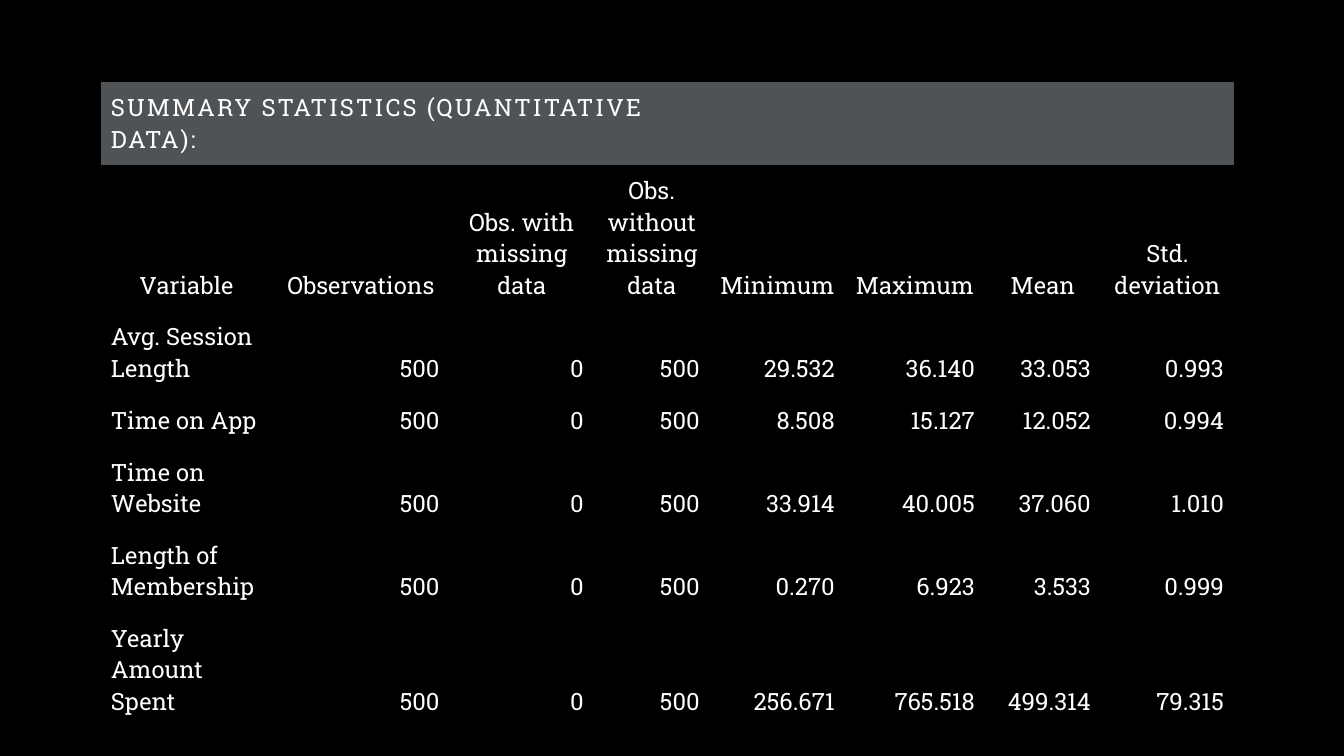
from lxml.etree import SubElement
from pptx import Presentation
from pptx.dml.color import RGBColor
from pptx.enum.text import MSO_ANCHOR, PP_ALIGN
from pptx.oxml.ns import qn
from pptx.util import Inches, Pt

TITLE = "SUMMARY STATISTICS (QUANTITATIVE DATA):"
HEADERS = ["Variable", "Observations", "Obs. with missing data",
           "Obs. without missing data", "Minimum", "Maximum", "Mean",
           "Std. deviation"]
STATISTICS = [
    ("Avg. Session Length", "500", "0", "500", "29.532", "36.140", "33.053", "0.993"),
    ("Time on App", "500", "0", "500", "8.508", "15.127", "12.052", "0.994"),
    ("Time on Website", "500", "0", "500", "33.914", "40.005", "37.060", "1.010"),
    ("Length of Membership", "500", "0", "500", "0.270", "6.923", "3.533", "0.999"),
    ("Yearly Amount Spent", "500", "0", "500", "256.671", "765.518", "499.314", "79.315"),
]

BLACK = RGBColor(0x00, 0x00, 0x00)
WHITE = RGBColor(0xFF, 0xFF, 0xFF)
GRAY = RGBColor(0x50, 0x53, 0x56)
FONT = "Roboto Slab"
FONT_SIZE = Pt(17)
TITLE_SPACING = "150"
BAND_OPACITY = "8000"
NO_STYLE_NO_GRID = "{2D5ABB26-0587-4C30-8999-92F81FD0307C}"

LEFT, TOP = 1, 0.81
COLUMN_WIDTHS = [1.7, 1.76, 1.43, 1.15, 1.34, 1.39, 1.15, 1.32]
ROW_HEIGHTS = [0.8, 1.36, 0.8, 0.52, 0.8, 0.8, 0.8]
TITLE_SPAN = 4
CELL_MARGIN = Inches(0.1)


def add_statistics_table(slide, rows):
    frame = slide.shapes.add_table(
        len(rows), len(HEADERS), Inches(LEFT), Inches(TOP),
        Inches(sum(COLUMN_WIDTHS)), Inches(sum(ROW_HEIGHTS)))
    table = frame.table
    table.first_row = table.horz_banding = False
    for style_id in frame.element.iter(qn("a:tableStyleId")):
        style_id.text = NO_STYLE_NO_GRID
    for column, width in zip(table.columns, COLUMN_WIDTHS):
        column.width = Inches(width)
    for row, height in zip(table.rows, ROW_HEIGHTS):
        row.height = Inches(height)
    table.cell(0, 0).merge(table.cell(0, TITLE_SPAN - 1))
    return table


def fill_cell(cell, row_index):
    """Gray title row, then a faint band on every second row."""
    if row_index == 0:
        cell.fill.solid()
        cell.fill.fore_color.rgb = GRAY
    elif row_index % 2 == 0:
        cell.fill.solid()
        cell.fill.fore_color.rgb = BLACK
        for color in cell._tc.tcPr.iter(qn("a:srgbClr")):
            SubElement(color, qn("a:alpha"), val=BAND_OPACITY)
    else:
        cell.fill.background()


def write_cell(cell, text, alignment):
    cell.vertical_anchor = MSO_ANCHOR.BOTTOM
    cell.margin_left = cell.margin_right = CELL_MARGIN
    cell.margin_top = cell.margin_bottom = CELL_MARGIN
    cell.text_frame.text = text
    paragraph = cell.text_frame.paragraphs[0]
    paragraph.alignment = alignment
    for run in paragraph.runs:
        run.font.name = FONT
        run.font.size = FONT_SIZE
        run.font.color.rgb = WHITE


def alignment_at(row_index, column_index):
    if row_index == 1:
        return PP_ALIGN.CENTER
    if row_index == 0 or column_index == 0:
        return PP_ALIGN.LEFT
    return PP_ALIGN.RIGHT


def main():
    presentation = Presentation()
    presentation.slide_width = Inches(13.33)
    presentation.slide_height = Inches(7.5)
    slide = presentation.slides.add_slide(presentation.slide_layouts[6])
    slide.background.fill.solid()
    slide.background.fill.fore_color.rgb = BLACK

    title_row = [TITLE] + [""] * (len(HEADERS) - 1)
    rows = [title_row, HEADERS, *STATISTICS]
    table = add_statistics_table(slide, rows)
    for row_index, row in enumerate(rows):
        for column_index, text in enumerate(row):
            cell = table.cell(row_index, column_index)
            fill_cell(cell, row_index)
            write_cell(cell, text, alignment_at(row_index, column_index))
    title_run = table.cell(0, 0).text_frame.paragraphs[0].runs[0]
    title_run.font._element.set("spc", TITLE_SPACING)

    presentation.save("out.pptx")


if __name__ == "__main__":
    main()
